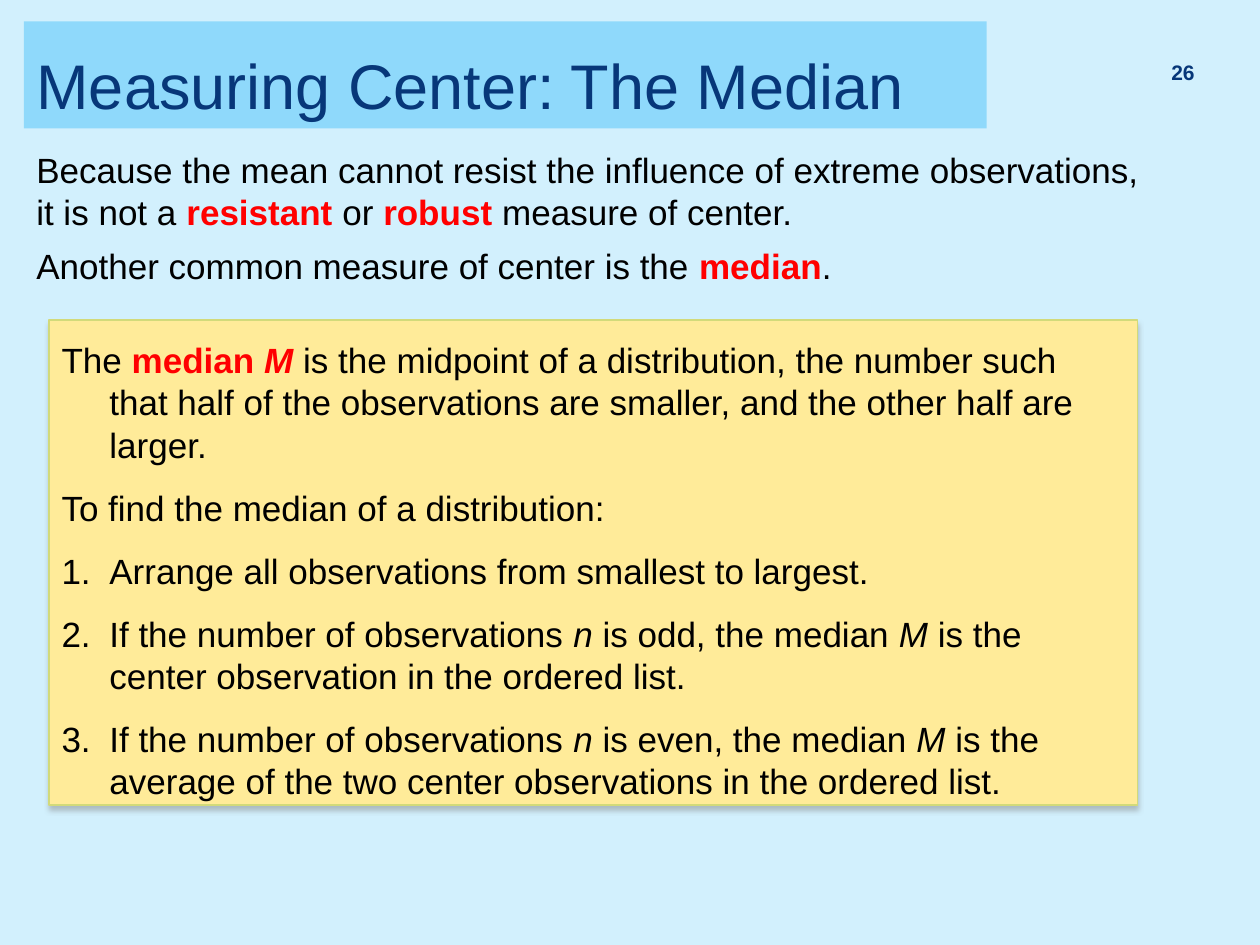
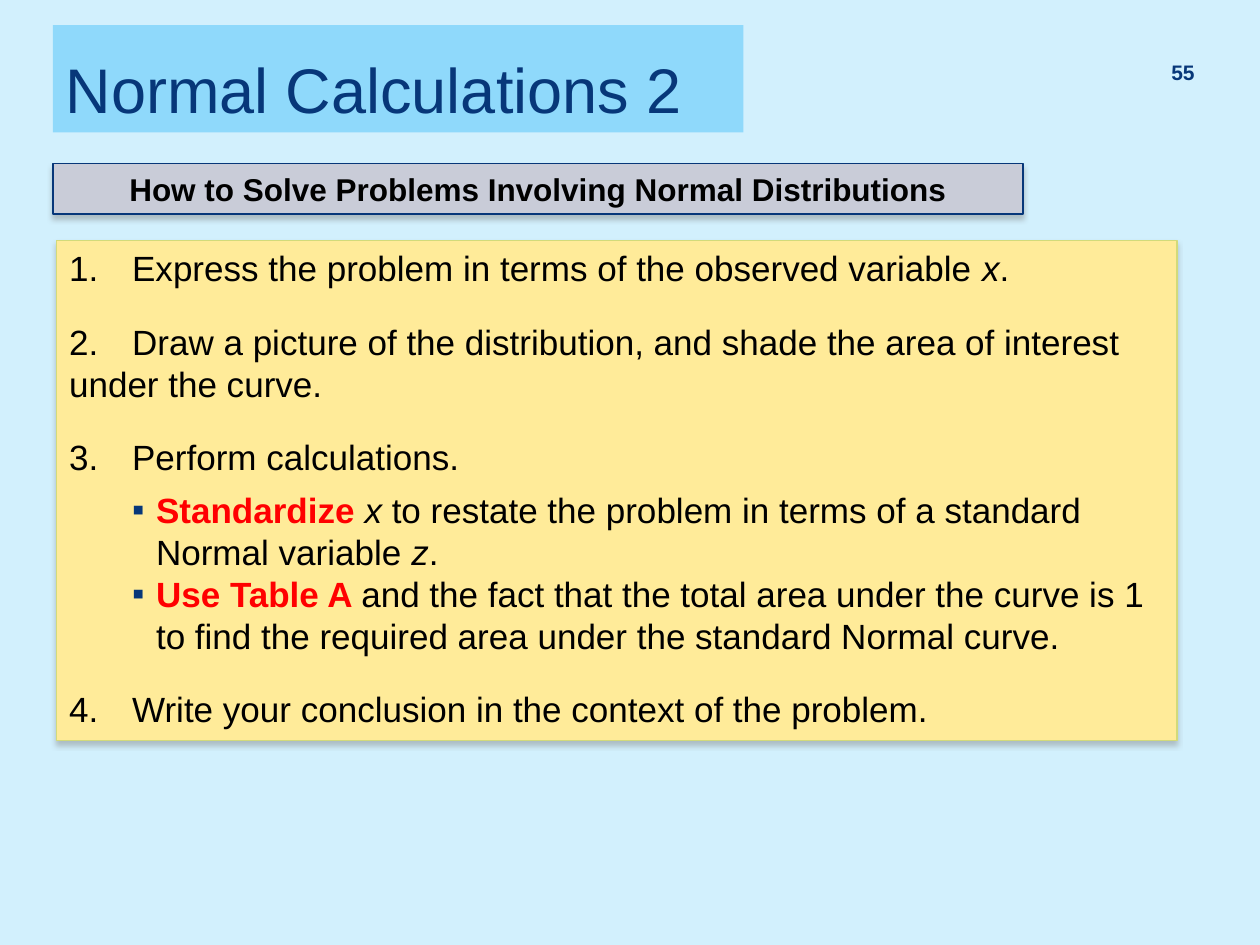
from pptx import Presentation
from pptx.dml.color import RGBColor
from pptx.enum.shapes import MSO_SHAPE
from pptx.enum.text import MSO_ANCHOR as Anchor, MSO_AUTO_SIZE as AutoSize, PP_ALIGN as Align
from pptx.oxml import parse_xml
from pptx.oxml.ns import nsdecls, qn
from pptx.util import Inches, Pt

SKY = RGBColor(0xD2, 0xF0, 0xFD)
TITLE_BLUE = RGBColor(0x8F, 0xD9, 0xFB)
NAVY = RGBColor(0x07, 0x37, 0x79)
RED = RGBColor(0xFF, 0x00, 0x00)
BLACK = RGBColor(0x00, 0x00, 0x00)
CREAM = RGBColor(0xFF, 0xEB, 0x99)
OLIVE = RGBColor(0xD2, 0xDA, 0x7A)
SILVER = RGBColor(0xC9, 0xCC, 0xD8)
SHADOW_GREY = RGBColor(0x80, 0x80, 0x80)

COLUMNS, ROWS = 100, 75
TITLE_ONLY = 5
FONT = "Arial"
BODY_SIZE = 20


def key(text):
    return text, RED, True, False


def key_symbol(text):
    return text, RED, True, True


def symbol(text):
    return text, BLACK, False, True


def strong(text, color=BLACK):
    return text, color, True, False


def para(*spans, after=0, before=0, margin=0, hanging=0, bullet=None, tab=None,
         level=0, align=Align.LEFT, spacing=None):
    return dict(spans=spans, after=after, before=before, margin=margin, hanging=hanging,
                bullet=bullet, tab=tab, level=level, align=align, spacing=spacing)


def hung(*spans, bullet=None):
    return para(*spans, after=12, margin=0.38, hanging=0.38, bullet=bullet)


def step(*spans, after=18):
    return para(*spans, after=after, tab=0.39)


def square(*spans, after=0):
    return para(*spans, after=after, margin=0.69, hanging=0.19, bullet="square", level=1)


class Slides:
    def __init__(self):
        self.deck = Presentation()
        self.deck.slide_width, self.deck.slide_height = Inches(10), Inches(7.5)
        background = self.deck.slide_master.background.fill
        background.solid()
        background.fore_color.rgb = SKY
        self.page = None

    def area(self, column, row, columns, rows):
        across = self.deck.slide_width / COLUMNS
        down = self.deck.slide_height / ROWS
        return round(column * across), round(row * down), round(columns * across), round(rows * down)

    def start(self, title, number, area):
        self.page = self.deck.slides.add_slide(self.deck.slide_layouts[TITLE_ONLY])
        box = self.page.shapes.title
        box.left, box.top, box.width, box.height = self.area(*area)
        box.fill.solid()
        box.fill.fore_color.rgb = TITLE_BLUE
        self.fill_text(box, [para((title, NAVY, False, False))], size=36, anchor=Anchor.BOTTOM)
        self.text((90.3, 3.9, 5.5, 4),
                  [para(strong(number, NAVY), align=Align.RIGHT, spacing=0.8)],
                  size=12, anchor=Anchor.MIDDLE)

    def text(self, area, paragraphs, **style):
        box = self.page.shapes.add_textbox(*self.area(*area))
        self.fill_text(box, paragraphs, **style)

    def panel(self, area, paragraphs, fill=CREAM, line=OLIVE, **style):
        box = self.page.shapes.add_shape(MSO_SHAPE.RECTANGLE, *self.area(*area))
        box.fill.solid()
        box.fill.fore_color.rgb = fill
        box.line.color.rgb = line
        box.line.width = Pt(0.79)
        self.cast_shadow(box)
        self.fill_text(box, paragraphs, **style)

    def cast_shadow(self, box):
        box.shadow.inherit = False
        box._element.spPr.find(qn("a:effectLst")).append(parse_xml(
            f'<a:outerShdw {nsdecls("a")} blurRad="{Pt(3)}" dist="{Pt(2.4)}" dir="5400000" '
            f'rotWithShape="0"><a:srgbClr val="{SHADOW_GREY}"><a:alpha val="45000"/>'
            '</a:srgbClr></a:outerShdw>'))

    def fill_text(self, box, paragraphs, size=BODY_SIZE, anchor=Anchor.TOP, inset=0.05):
        frame = box.text_frame
        frame.word_wrap = True
        frame.auto_size = AutoSize.NONE
        frame.vertical_anchor = anchor
        frame.margin_left = frame.margin_right = Inches(0.1)
        frame.margin_top, frame.margin_bottom = Inches(inset), Inches(0.05)
        for index, content in enumerate(paragraphs):
            paragraph = frame.add_paragraph() if index else frame.paragraphs[0]
            self.format_paragraph(paragraph, content)
            for span in content["spans"]:
                self.add_span(paragraph, span, size)

    def format_paragraph(self, paragraph, content):
        properties = paragraph._p.get_or_add_pPr()
        properties.set("marL", str(Inches(content["margin"])))
        properties.set("indent", str(-Inches(content["hanging"])))
        marks = {
            None: ["<a:buNone {}/>"],
            "number": ['<a:buFont {} typeface="+mj-lt"/>', '<a:buAutoNum {} type="arabicPeriod"/>'],
            "square": [f'<a:buClr {{}}><a:srgbClr val="{NAVY}"/></a:buClr>',
                       f'<a:buFont {{}} typeface="{FONT}"/>', '<a:buChar {} char="▪"/>'],
        }[content["bullet"]]
        if content["tab"]:
            marks.append(f'<a:tabLst {{}}><a:tab pos="{Inches(content["tab"])}" algn="l"/></a:tabLst>')
        for mark in marks:
            properties.append(parse_xml(mark.format(nsdecls("a"))))
        paragraph.level = content["level"]
        paragraph.alignment = content["align"]
        paragraph.space_before = Pt(content["before"])
        paragraph.space_after = Pt(content["after"])
        if content["spacing"]:
            paragraph.line_spacing = content["spacing"]

    def add_span(self, paragraph, span, size):
        text, color, bold, italic = (span, BLACK, False, False) if isinstance(span, str) else span
        run = paragraph.add_run()
        run.text = text
        run.font.name = FONT
        run.font.size = Pt(size)
        run.font.color.rgb = color
        run.font.bold = bold
        run.font.italic = italic


def median_page(slides):
    slides.start("Measuring Center: The Median", "26", (1.9, 1.7, 76.4, 8.5))
    slides.text((1.9, 11.3, 90.3, 12.9), [
        para("Because the mean cannot resist the influence of extreme observations, it is not a ",
             key("resistant "), "or ", key("robust "), "measure of center."),
        para("Another common measure of center is the ", key("median"), ".", before=7),
    ])
    rules = [("odd", "center observation in the ordered list."),
             ("even", "average of the two center observations in the ordered list.")]
    slides.panel((3.9, 25.4, 86.4, 38.5), [
        hung("The ", key("median "), key_symbol("M "),
             "is the midpoint of a distribution, the number such that half of the observations "
             "are smaller, and the other half are larger."),
        hung("To find the median of a distribution:"),
        hung("Arrange all observations from smallest to largest.", bullet="number"),
        *[hung("If the number of observations ", symbol("n"), f" is {parity}, the median ",
               symbol("M"), f" is the {result}", bullet="number") for parity, result in rules],
    ], inset=0.15)


def normal_page(slides):
    slides.start("Normal Calculations 2", "55", (4.2, 2, 54.8, 8.5))
    slides.panel((4.2, 13, 77, 4),
                 [para(strong("How to Solve Problems Involving Normal Distributions"),
                       align=Align.CENTER)],
                 fill=SILVER, line=NAVY, size=18)
    slides.panel((4.5, 19.1, 88.9, 39.7), [
        step("1.\tExpress the problem in terms of the observed variable ", symbol("x"), "."),
        step("2.\tDraw a picture of the distribution, and shade the area of interest "
             "under the curve."),
        step("3.\tPerform calculations.", after=6),
        square(key("Standardize "), symbol("x"),
               " to restate the problem in terms of a standard Normal variable ", symbol("z"), "."),
        square(key("Use Table A "),
               "and the fact that the total area under the curve is 1 to find the required area "
               "under the standard Normal curve.", after=18),
        step("4.\tWrite your conclusion in the context of the problem."),
    ])


def main():
    slides = Slides()
    median_page(slides)
    normal_page(slides)
    slides.deck.save("out.pptx")


if __name__ == "__main__":
    main()
